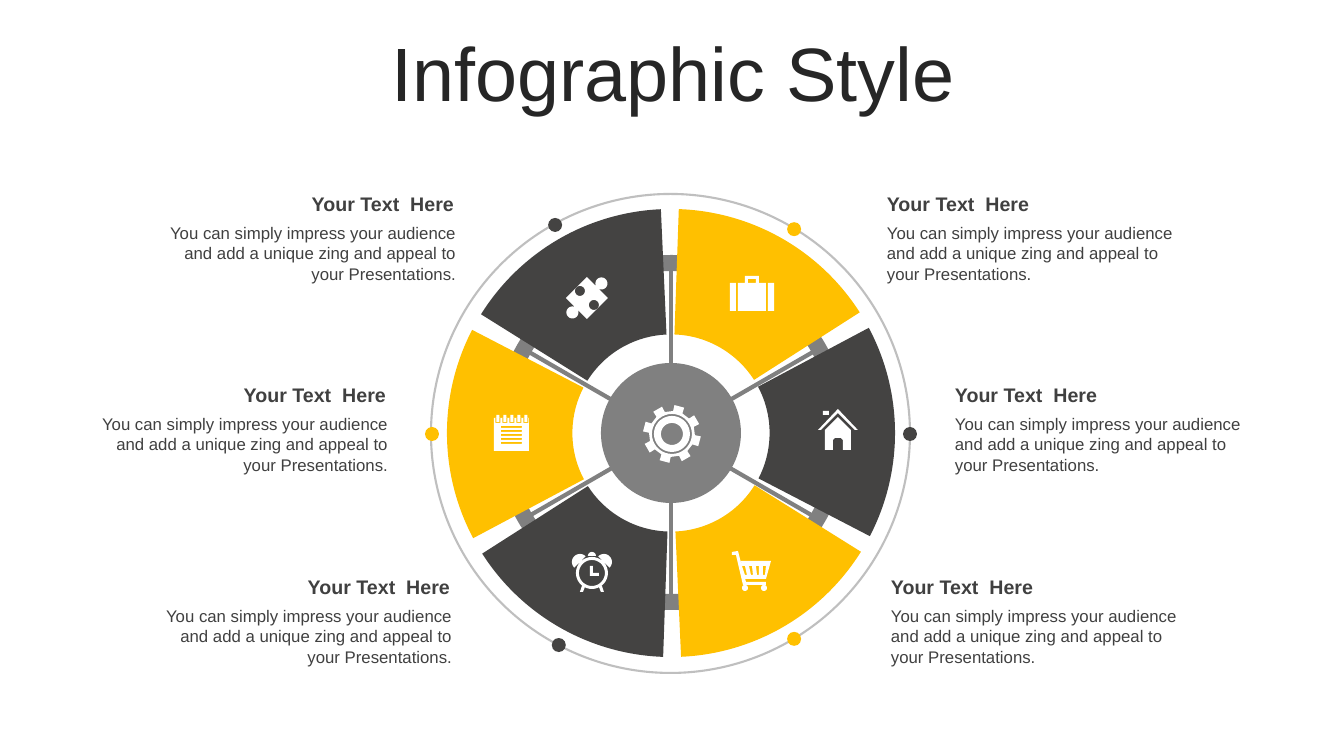
from math import cos, radians, sin

from lxml.etree import SubElement
from pptx import Presentation
from pptx.dml.color import RGBColor
from pptx.enum.shapes import MSO_CONNECTOR, MSO_SHAPE
from pptx.enum.text import MSO_ANCHOR, MSO_AUTO_SIZE, PP_ALIGN
from pptx.oxml.ns import qn
from pptx.util import Pt

# Content, lengths in px
PX = 914400 / 100.8
COLORS = {"title": "262626", "text": "404040", "yellow": "FFC000", "dark": "444342",
          "gray": "808080", "ring": "BFBFBF", "icon": "FFFFFF"}
TITLE = "Infographic Style"
HEADING = "Your Text  Here"
BODY = ("You can simply impress your audience and add a unique zing "
        "and appeal to your Presentations.")
TITLE_FORMAT = {"name": "Arial", "size": Pt(54), "bold": False}
HEADING_FORMAT = {"name": "Arial", "size": Pt(14), "bold": True}
BODY_FORMAT = {"name": "Arial", "size": Pt(12), "bold": False}
WHEEL_CENTER = (671, 434)
ROW_TOPS = (187, 378, 570)

# Clockwise from the left segment: dot angle, text left, text row
SEGMENTS = [(180, 87, 1), (241, 155, 0), (301, 877, 0),
            (0, 945, 1), (59, 881, 2), (118, 151, 2)]
ICON_CENTERS = {"notepad": (512, 433), "puzzle": (587, 298), "suitcase": (752, 297),
                "house": (838, 430), "cart": (751, 571), "clock": (592, 573),
                "gear": (672, 434)}
SIDES = (-1, 1)


def polar(center, radius, angle):
    return (center[0] + radius * cos(radians(angle)),
            center[1] + radius * sin(radians(angle)))


def arc(x, y, radius, start=0, sweep=360):
    return [polar((x, y), radius, start + sweep * step / 36) for step in range(37)]


def box(left, top, right, bottom):
    return [(left, top), (right, top), (right, bottom), (left, bottom)]


def mirrored(half):
    return half + [(-x, y) for x, y in reversed(half)]


# Icon outlines around their centers; overlapping outlines cut holes
ICONS = {
    "notepad": [box(-18, -15, 17, 18)]
    + [box(x - half, top, x + half, bottom) for x in range(-14, 15, 7)
       for half, top, bottom in ((2.5, -15, -10), (1.5, -18, -11))]
    + [box(-11, y, 10, y + 2) for y in range(-7, 13, 4)],
    "puzzle": [[polar((0, 0), 21, angle) for angle in range(0, 360, 90)]]
    + [arc(side * 14.5, side * -14.5, 6) for side in SIDES]
    + [arc(side * 7, side * 7, 5) for side in SIDES],
    "suitcase": [box(-14, -14, 14, 14), box(-7, -21, 7, -14), box(-4, -18, 4, -14)]
    + [box(side * 16, -14, side * 22, 14) for side in SIDES],
    "house": [mirrored([(0, -21), (20, 0), (17, 0), (0, -17)]),
              mirrored([(0, -13), (13, 0), (13, 20), (5, 20), (5, 10), (3, 8)]),
              box(-15, -19, -9, -15)],
    "cart": [[(-19, -19), (-13, -20), (-5, 11), (15, 11), (15, 14), (-8, 14),
              (-15, -16), (-19, -16)],
             [(-10, -10), (20, -10), (15, 8), (-6, 8)]]
    + [[(7 * slot - 9, -5), (7 * slot - 6, -5), (6 * slot - 4, 4), (6 * slot - 6, 4)]
       for slot in range(4)]
    + [arc(x, 17, 3) for x in (-6, 13)],
    "clock": [arc(0, 0, 16), arc(0, 0, 13), box(-2, -7, 1, 3), box(1, 0, 7, 3),
              arc(0, -17, 4, 180, 180)]
    + [arc(side * 12, -11, 8, 180 + 45 * side, 180) for side in SIDES]
    + [[(side * x, y) for x, y in ((10, 13), (7, 14), (9, 19), (12, 19))]
       for side in SIDES],
    "gear": [[polar((0, 0), radius, turn + angle) for turn in range(15, 375, 45)
              for radius, angle in ((23, -12), (29, -10), (29, 10), (23, 12))]]
    + [arc(0, 0, radius) for radius in (11, 18, 20)],
}

presentation = Presentation()
presentation.slide_width, presentation.slide_height = round(1344 * PX), round(756 * PX)
slide = presentation.slides.add_slide(presentation.slide_layouts[5])
shapes = slide.shapes


def emu(*lengths):
    return [round(length * PX) for length in lengths]


def color(name):
    return RGBColor.from_string(COLORS[name])


def paint(shape, fill):
    shape.shadow.inherit = False
    shape.fill.solid()
    shape.fill.fore_color.rgb = color(fill)
    shape.line.fill.background()


def add_preset(kind, left, top, size, fill):
    shape = shapes.add_shape(kind, *emu(left, top, size, size))
    paint(shape, fill)
    return shape


def write(shape, text, text_format, text_color, alignment):
    shape.text_frame.word_wrap = True
    paragraph = shape.text_frame.paragraphs[0]
    paragraph.text = text
    paragraph.alignment = alignment
    for name, value in text_format.items():
        setattr(paragraph.font, name, value)
    paragraph.font.color.rgb = color(text_color)
    return paragraph


def add_icon(center, contours):
    outlines = [[emu(center[0] + x, center[1] + y) for x, y in contour]
                for contour in contours]
    builder = shapes.build_freeform(*outlines[0][0])
    for number, outline in enumerate(outlines):
        if number:
            builder.move_to(*outline[0])
        builder.add_line_segments(outline[1:], close=True)
    paint(builder.convert_to_shape(), "icon")


# Title
title = shapes.title
title.left, title.top, title.width, title.height = emu(35, 37, 1276, 80)
title.text_frame.vertical_anchor = MSO_ANCHOR.MIDDLE
title.text_frame.auto_size = MSO_AUTO_SIZE.NONE
write(title, TITLE, TITLE_FORMAT, "title", PP_ALIGN.CENTER).line_spacing = 0.9

# Outer ring and its dots
ring = add_preset(MSO_SHAPE.OVAL, 431, 194, 479, "ring")
ring.fill.background()
ring.line.color.rgb = color("ring")
ring.line.width = Pt(1.5)
fills = ("yellow", "dark") * 3
for fill, (angle, left, row) in zip(fills, SEGMENTS):
    x, y = polar(WHEEL_CENTER, 239, angle)
    add_preset(MSO_SHAPE.OVAL, x - 7, y - 7, 14, fill)

# Spokes, hub and inner ring
for angle in (30, 90, 150):
    ends = polar(WHEEL_CENTER, -173, angle) + polar(WHEEL_CENTER, 173, angle)
    connector = shapes.add_connector(MSO_CONNECTOR.STRAIGHT, *emu(*ends))
    connector.line.color.rgb = color("gray")
    connector.line.width = Pt(3)
    SubElement(connector._element.spPr, qn("a:effectLst"))
add_preset(MSO_SHAPE.OVAL, 601, 363, 140, "gray")
add_preset(MSO_SHAPE.DONUT, 494, 255, 355, "gray").adjustments[0] = 0.045

# Wheel segments
for number, fill in enumerate(fills):
    segment = add_preset(MSO_SHAPE.BLOCK_ARC, 447, 209, 448, fill)
    for index, value in enumerate((108, 141.25, 0.28)):
        segment.adjustments[index] = value
    segment.rotation = (332 + 60 * number) % 360

# Text blocks, aligned toward the wheel
for angle, left, row in SEGMENTS:
    alignment = PP_ALIGN.RIGHT if left < WHEEL_CENTER[0] else PP_ALIGN.LEFT
    top = ROW_TOPS[row]
    body = shapes.add_textbox(*emu(left, top + 31, 311, 72))
    write(body, BODY, BODY_FORMAT, "text", alignment)
    heading = shapes.add_textbox(*emu(left, top, 309, 34))
    write(heading, HEADING, HEADING_FORMAT, "text", alignment)

# Icons
for name, center in ICON_CENTERS.items():
    add_icon(center, ICONS[name])

presentation.save("out.pptx")
